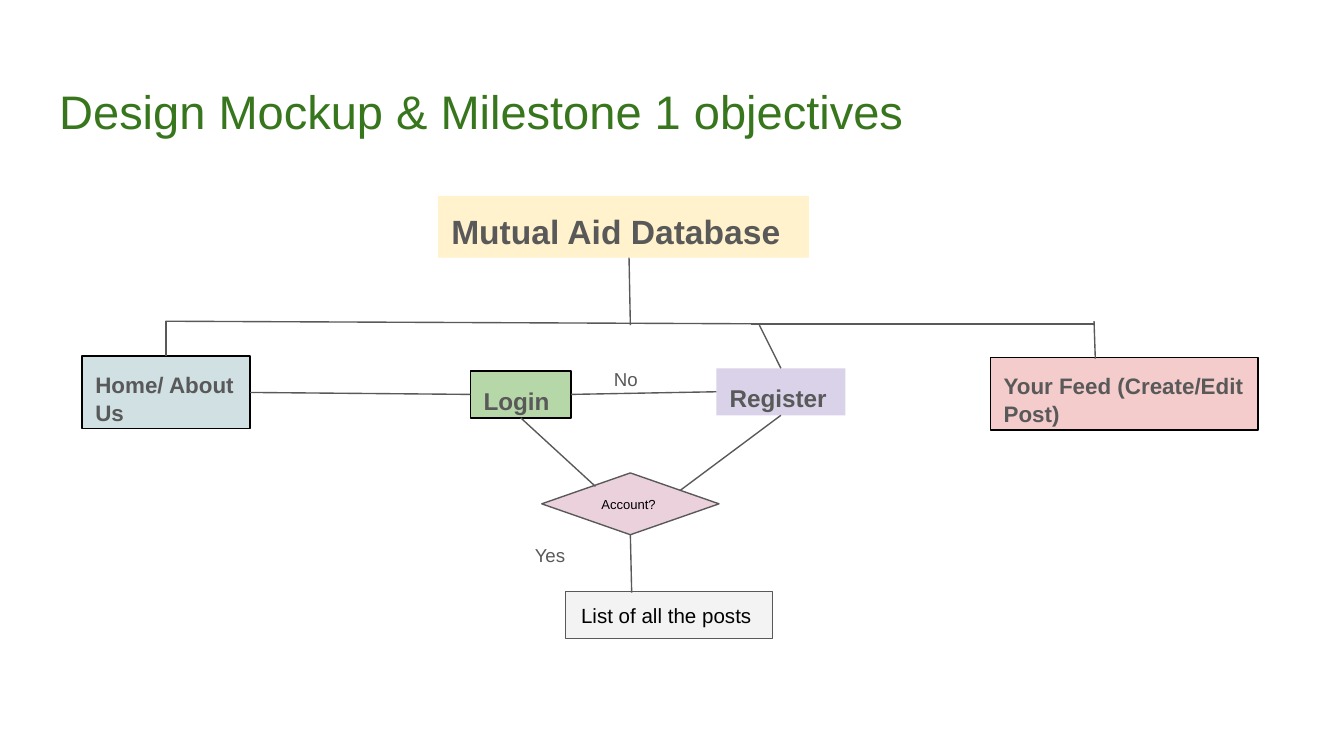
from lxml.etree import SubElement
from pptx import Presentation
from pptx.dml.color import RGBColor
from pptx.enum.shapes import MSO_CONNECTOR, MSO_SHAPE
from pptx.enum.text import MSO_ANCHOR, PP_ALIGN
from pptx.oxml.ns import qn
from pptx.util import Pt

GREEN = RGBColor(0x38, 0x76, 0x1D)
GRAY = RGBColor(0x59, 0x59, 0x59)
BLACK = RGBColor(0, 0, 0)
CREAM = RGBColor(0xFF, 0xF2, 0xCC)
TEAL = RGBColor(0xD0, 0xE0, 0xE3)
LIME = RGBColor(0xB6, 0xD7, 0xA8)
LILAC = RGBColor(0xD9, 0xD2, 0xE9)
ROSE = RGBColor(0xF4, 0xCC, 0xCC)
PINK = RGBColor(0xEA, 0xD1, 0xDC)
PALE = RGBColor(0xF3, 0xF3, 0xF3)

RECT = MSO_SHAPE.RECTANGLE
DECISION = MSO_SHAPE.FLOWCHART_DECISION
BOLD = {"bold": True, "color": GRAY}
CENTERED = {"color": BLACK, "align": PP_ALIGN.CENTER, "anchor": MSO_ANCHOR.MIDDLE}

NODES = {
    "database": (RECT, (190.7, 0, 198.7, 33.1), "Mutual Aid Database", 18, CREAM, None, BOLD),
    "home": (RECT, (0, 85.8, 90, 38.9), "Home/ About Us", 12, TEAL, BLACK, BOLD),
    "login": (RECT, (208, 93.7, 54, 25.2), "Login", 13, LIME, BLACK, BOLD),
    "register": (RECT, (339.8, 92.3, 69.1, 25.2), "Register", 13, LILAC, None, BOLD),
    "feed": (RECT, (486.6, 86.5, 143.5, 38.9), "Your Feed (Create/Edit Post)", 12, ROSE, BLACK, BOLD),
    "account": (DECISION, (246.2, 148.4, 95, 33.1), "Account? ", 7, PINK, GRAY, CENTERED),
    "posts": (RECT, (259.1, 211.8, 110.9, 25.2), "List of all the posts ", 11, PALE, GRAY, CENTERED),
}
LINKS = [
    ((363.5, 68.5), (44.6, 67.1)),
    ((45, 67.1), ("home", 0)),
    ((293, 33.1), (293.7, 69.2)),
    ((358.5, 68.5), (542.1, 68.5)),
    (("home", 3), ("login", 1)),
    (("login", 2), (275, 155.6)),
    ((362.8, 69.2), ("register", 0)),
    ((542.1, 67.1), (542.8, 87.2)),
    (("login", 3), ("register", 1)),
    (("register", 2), (320.3, 157.8)),
    (("account", 2), (294.4, 212.5)),
]
LABELS = [("No", (277.8, 85.1, 46.8, 20.2)), ("Yes", (235.4, 179.4, 51.1, 23.8))]


def set_text(sp, text, size, color, bold=False, align=PP_ALIGN.LEFT, anchor=MSO_ANCHOR.TOP):
    """Write one formatted paragraph into a shape."""
    tf = sp.text_frame
    frame = {"word_wrap": True, "vertical_anchor": anchor}
    frame.update({f"margin_{side}": Pt(7.2) for side in ("left", "top", "right", "bottom")})
    for name, value in frame.items():
        setattr(tf, name, value)
    p = tf.paragraphs[0]
    p.alignment, p.line_spacing = align, 1.05
    r = p.add_run()
    r.text = text
    for name, value in {"name": "Arial", "size": Pt(size), "bold": bold}.items():
        setattr(r.font, name, value)
    r.font.color.rgb = color


def add_node(slide, kind, box, text, size, fill, outline, style):
    """Add a filled flowchart node with its text."""
    sp = slide.shapes.add_shape(kind, *map(Pt, box))
    sp.shadow.inherit = False
    sp.fill.solid()
    sp.fill.fore_color.rgb = fill
    if outline is None:
        sp.line.fill.background()
    else:
        sp.line.color.rgb = outline
        sp.line.width = Pt(0.75)
    set_text(sp, text, size, **style)
    return sp


def add_link(slide, start, end, nodes, left, top):
    """Draw a line between points or node sides."""
    joined = [isinstance(stop[0], str) for stop in (start, end)]
    points = [(0, 0) if tied else (Pt(left + stop[0]), Pt(top + stop[1]))
              for stop, tied in zip((start, end), joined)]
    cn = slide.shapes.add_connector(MSO_CONNECTOR.STRAIGHT, *points[0], *points[1])
    for stop, tied, join in zip((start, end), joined, (cn.begin_connect, cn.end_connect)):
        if tied:
            join(nodes[stop[0]], stop[1])
    cn.line.color.rgb = GRAY
    cn.line.width = Pt(0.75)
    SubElement(cn._element.spPr, qn("a:effectLst"))


def add_title(slide, box):
    """Place and format the slide title."""
    sp = slide.shapes.title
    for name, value in zip(("left", "top", "width", "height"), box):
        setattr(sp, name, Pt(value))
    set_text(sp, "Design Mockup & Milestone 1 objectives", 25.2, GREEN)


def add_site_map(slide, left, top):
    """Place the page flowchart from its top-left corner."""
    def shift(box):
        return left + box[0], top + box[1], box[2], box[3]

    nodes = {name: add_node(slide, kind, shift(box), *rest)
             for name, (kind, box, *rest) in NODES.items()}
    for start, end in LINKS:
        add_link(slide, start, end, nodes, left, top)
    for text, box in LABELS:
        set_text(slide.shapes.add_textbox(*map(Pt, shift(box))), text, 10, GRAY)


def main():
    """Build and save the slide."""
    prs = Presentation()
    prs.slide_width, prs.slide_height = Pt(720), Pt(405)
    slide = prs.slides.add_slide(prs.slide_layouts[5])
    add_title(slide, (24.5, 35.3, 671, 45.4))
    add_site_map(slide, 44, 105)
    prs.save("out.pptx")


if __name__ == "__main__":
    main()
